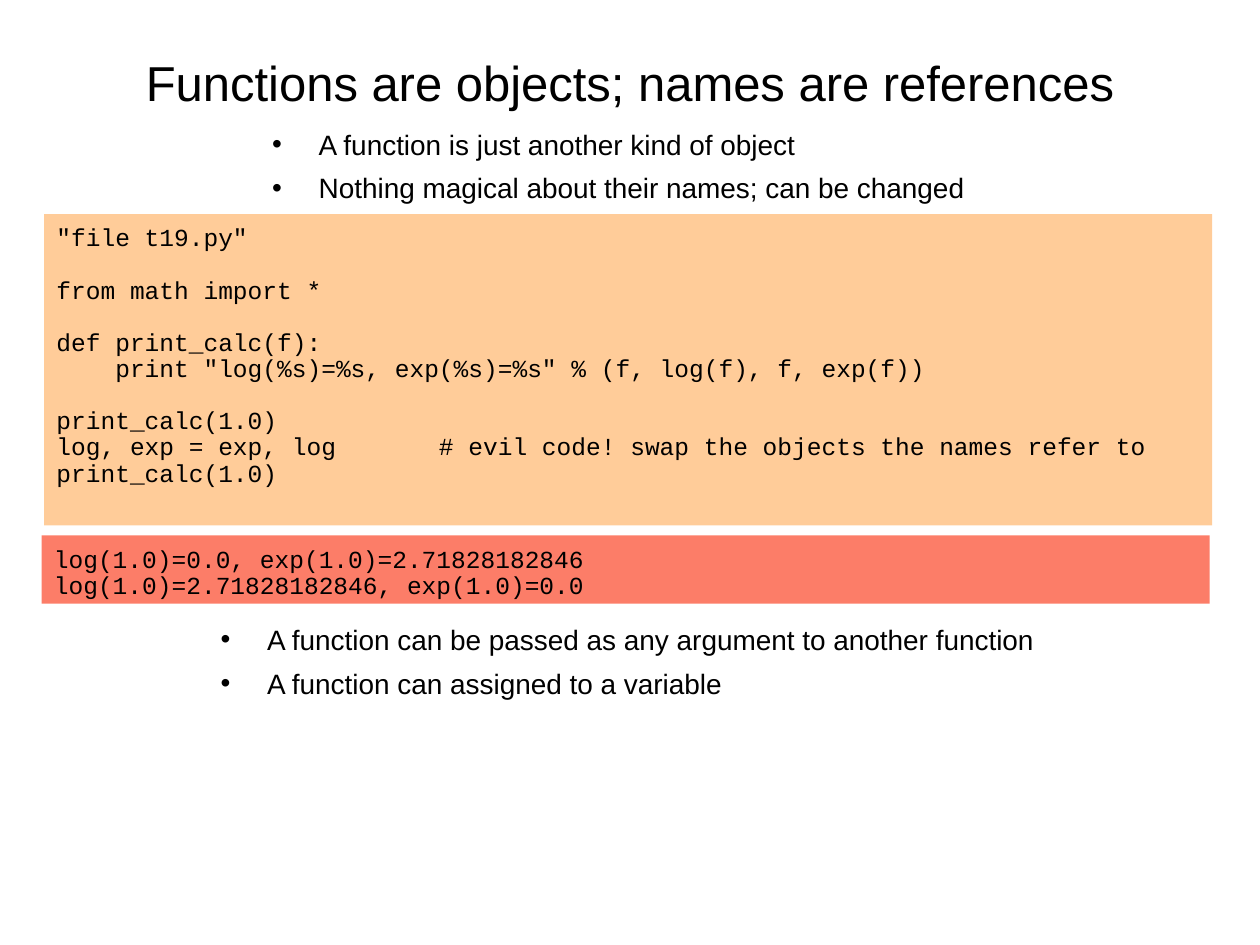
from pptx import Presentation
from pptx.dml.color import RGBColor
from pptx.enum.shapes import MSO_SHAPE as SHAPE
from pptx.enum.text import MSO_ANCHOR as ANCHOR, PP_ALIGN as ALIGN
from pptx.oxml.ns import qn
from pptx.util import Inches, Pt
from lxml.etree import SubElement

COLORS = {"text": "000000", "code": "FFCC99", "output": "FC7D68"}
BODY_FONT, CODE_FONT = "Arial", "Courier New"
CODE_LINE = Pt(14.95)

CODE = '''"file t19.py"

from math import *

def print_calc(f):
    print "log(%s)=%s, exp(%s)=%s" % (f, log(f), f, exp(f))

print_calc(1.0)
log, exp = exp, log       # evil code! swap the objects the names refer to
print_calc(1.0)'''
OUTPUT = '''log(1.0)=0.0, exp(1.0)=2.71828182846
log(1.0)=2.71828182846, exp(1.0)=0.0'''


def color(name):
    return RGBColor.from_string(COLORS[name])


def set_frame(frame, side=0, top=0, anchor=ANCHOR.TOP):
    frame.word_wrap = True
    frame.vertical_anchor = anchor
    frame.margin_left = frame.margin_right = Inches(side)
    frame.margin_top, frame.margin_bottom = Inches(top), 0


def add_run(paragraph, text, size, font):
    run = paragraph.add_run()
    run.text = text
    run.font.size, run.font.name = Pt(size), font
    run.font.color.rgb = color("text")


def next_paragraph(frame, index):
    return frame.add_paragraph() if index else frame.paragraphs[0]


def add_title(slide, box, text):
    frame = slide.shapes.add_textbox(*map(Inches, box)).text_frame
    set_frame(frame, anchor=ANCHOR.MIDDLE)
    paragraph = frame.paragraphs[0]
    paragraph.alignment = ALIGN.CENTER
    paragraph.line_spacing = 1.04
    add_run(paragraph, text, 28, BODY_FONT)


def add_bullets(slide, box, items):
    frame = slide.shapes.add_textbox(*map(Inches, box)).text_frame
    set_frame(frame, top=0.01)
    for index, item in enumerate(items):
        paragraph = next_paragraph(frame, index)
        properties = paragraph._p.get_or_add_pPr()
        properties.set("marL", str(Inches(0.37)))
        properties.set("indent", str(-Inches(0.37)))
        SubElement(properties, qn("a:buFont"), typeface=BODY_FONT)
        SubElement(properties, qn("a:buChar"), char="•")
        paragraph.line_spacing = 1.04
        paragraph.space_before = Pt(5 if index else 0)
        add_run(paragraph, item, 16, BODY_FONT)


def add_code(slide, box, fill, code):
    shape = slide.shapes.add_shape(SHAPE.ROUNDED_RECTANGLE, *map(Inches, box))
    shape.adjustments[0] = 0
    shape.shadow.inherit = False
    shape.fill.solid()
    shape.fill.fore_color.rgb = color(fill)
    shape.line.fill.background()
    frame = shape.text_frame
    set_frame(frame, side=0.1, top=0.09)
    # An empty code line becomes space before the next line
    index = gap = 0
    for line in code.splitlines():
        if not line:
            gap += CODE_LINE
            continue
        paragraph = next_paragraph(frame, index)
        paragraph.alignment = ALIGN.LEFT
        paragraph.line_spacing = CODE_LINE
        paragraph.space_before = gap
        add_run(paragraph, line, 14, CODE_FONT)
        index, gap = index + 1, 0


def main():
    presentation = Presentation()
    presentation.slide_width, presentation.slide_height = Inches(10), Inches(7.5)
    slide = presentation.slides.add_slide(presentation.slide_layouts[6])

    # Heading and opening points
    add_title(slide, (0.75, 0.36, 8.5, 0.56),
              "Functions are objects; names are references")
    add_bullets(slide, (2.16, 0.99, 5.83, 0.71),
                ["A function is just another kind of object",
                 "Nothing magical about their names; can be changed"])

    # Program and its output
    add_code(slide, (0.35, 1.7, 9.27, 2.47), "code", CODE)
    add_code(slide, (0.33, 4.25, 9.27, 0.54), "output", OUTPUT)

    # Closing points
    add_bullets(slide, (1.75, 4.92, 6.61, 0.98),
                ["A function can be passed as any argument to another function",
                 "A function can assigned to a variable"])

    presentation.save("out.pptx")


if __name__ == "__main__":
    main()
